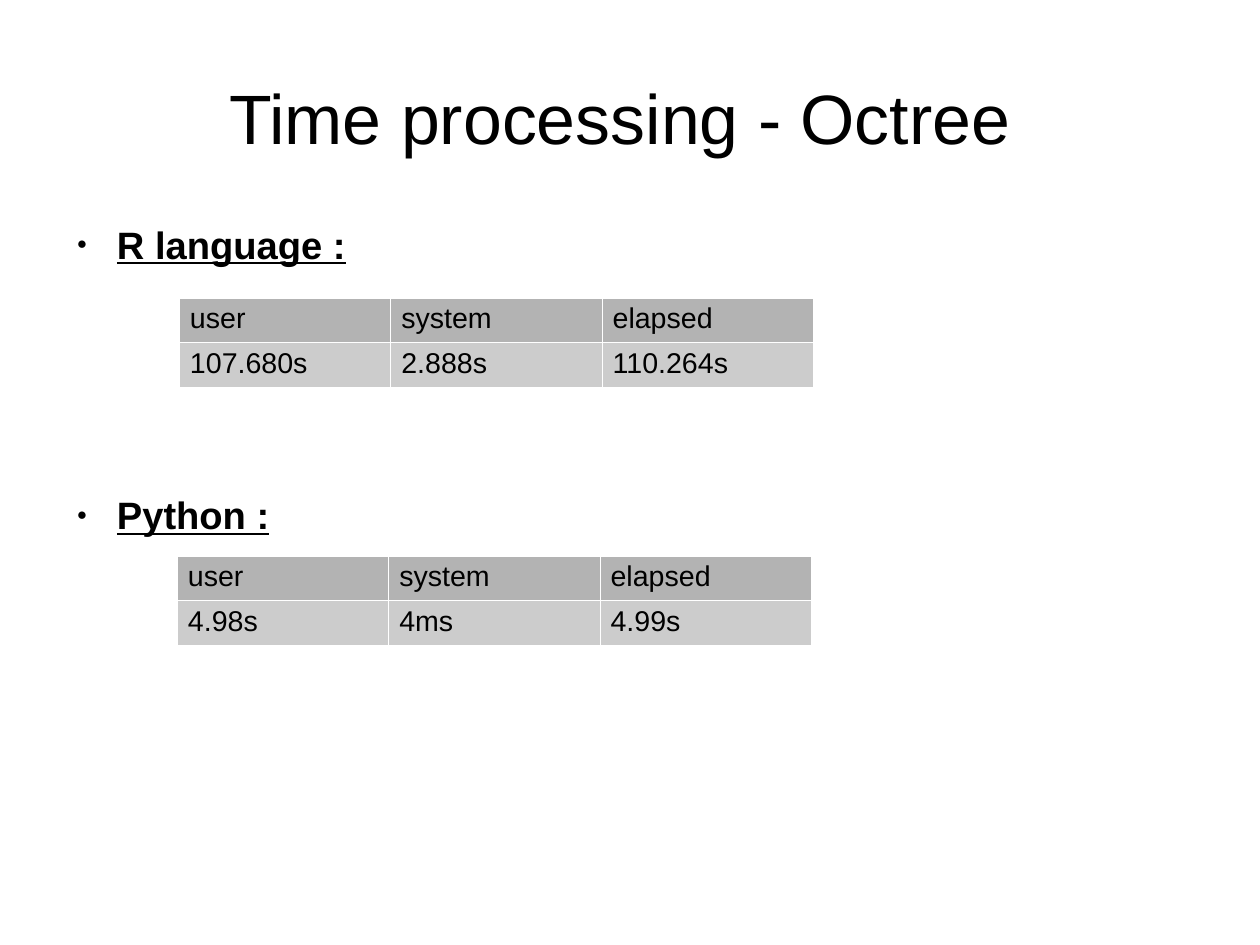
"""Build the octree timing slide with one table per language."""
import pptx
import pptx.util
import pptx.dml.color
import pptx.enum.text
import pptx.oxml
import pptx.oxml.ns

PX = 8000
THEME = {
    "font": "Arial", "ink": "000000", "line": "FFFFFF",
    "rows": ["B3B3B3", "CCCCCC"],
    "title": 44, "head": 24, "cell": 18,
}
ANCHOR = pptx.enum.text.MSO_ANCHOR
ALIGN = pptx.enum.text.PP_ALIGN
NS = pptx.oxml.ns.nsdecls("a")


def write(para, text, size, bold=None, under=None, align=ALIGN.LEFT,
          before=0, bullet=False):
    para.alignment = align
    if before:
        para.space_before = pptx.util.Pt(before)
    if bullet:
        props = para._p.get_or_add_pPr()
        props.set("marL", str(54 * PX))
        props.set("indent", str(-40 * PX))
        for mark in (
            f'<a:buClr {NS}><a:srgbClr val="{THEME["ink"]}"/></a:buClr>',
            f'<a:buSzPct {NS} val="45000"/>',
            f'<a:buFont {NS} typeface="{THEME["font"]}"/>',
            f'<a:buChar {NS} char="●"/>',
        ):
            props.append(pptx.oxml.parse_xml(mark))
    run = para.add_run()
    run.text = text
    font = run.font
    font.name = THEME["font"]
    font.size = pptx.util.Pt(size)
    font.bold = bold
    font.underline = under
    font.color.rgb = pptx.dml.color.RGBColor.from_string(THEME["ink"])


def edge(cell):
    props = cell._tc.get_or_add_tcPr()
    for spot, side in enumerate(("lnL", "lnR", "lnT", "lnB")):
        props.insert(spot, pptx.oxml.parse_xml(
            f'<a:{side} {NS} w="762"><a:solidFill>'
            f'<a:srgbClr val="{THEME["line"]}"/></a:solidFill></a:{side}>'))


deck = pptx.Presentation()
deck.slide_width = 1260 * PX
deck.slide_height = 945 * PX
slide = deck.slides.add_slide(deck.slide_layouts[6])

title, body = [
    slide.shapes.add_textbox(63 * PX, top * PX, 1134 * PX, high * PX).text_frame
    for top, high in [(38, 158), (221, 547)]
]
for frame in (title, body):
    frame.word_wrap = True
    frame.margin_left = frame.margin_right = 0
    frame.margin_top = frame.margin_bottom = 0
title.vertical_anchor = ANCHOR.MIDDLE
write(title.paragraphs[0], "Time processing - Octree ", THEME["title"],
      align=ALIGN.CENTER)

names = ["user", "system", "elapsed"]
parts = [
    ("R language :", 0, 179, 298, ["107.680s", "2.888s", "110.264s"]),
    ("Python :", 141.5, 177, 556, ["4.98s", "4ms", "4.99s"]),
]
for label, gap, left, top, times in parts:
    para = body.add_paragraph() if gap else body.paragraphs[0]
    write(para, label, THEME["head"], bold=True, under=True, before=gap,
          bullet=True)

    grid = slide.shapes.add_table(
        2, 3, left * PX, top * PX, 634 * PX, 86 * PX).table
    for row, values in enumerate([names, times]):
        for col, value in enumerate(values):
            cell = grid.cell(row, col)
            cell.fill.solid()
            cell.fill.fore_color.rgb = pptx.dml.color.RGBColor.from_string(
                THEME["rows"][row])
            edge(cell)
            cell.margin_left = cell.margin_right = 11 * PX
            cell.margin_top = cell.margin_bottom = 5 * PX
            write(cell.text_frame.paragraphs[0], value, THEME["cell"],
                  bold=False)

deck.save("out.pptx")
